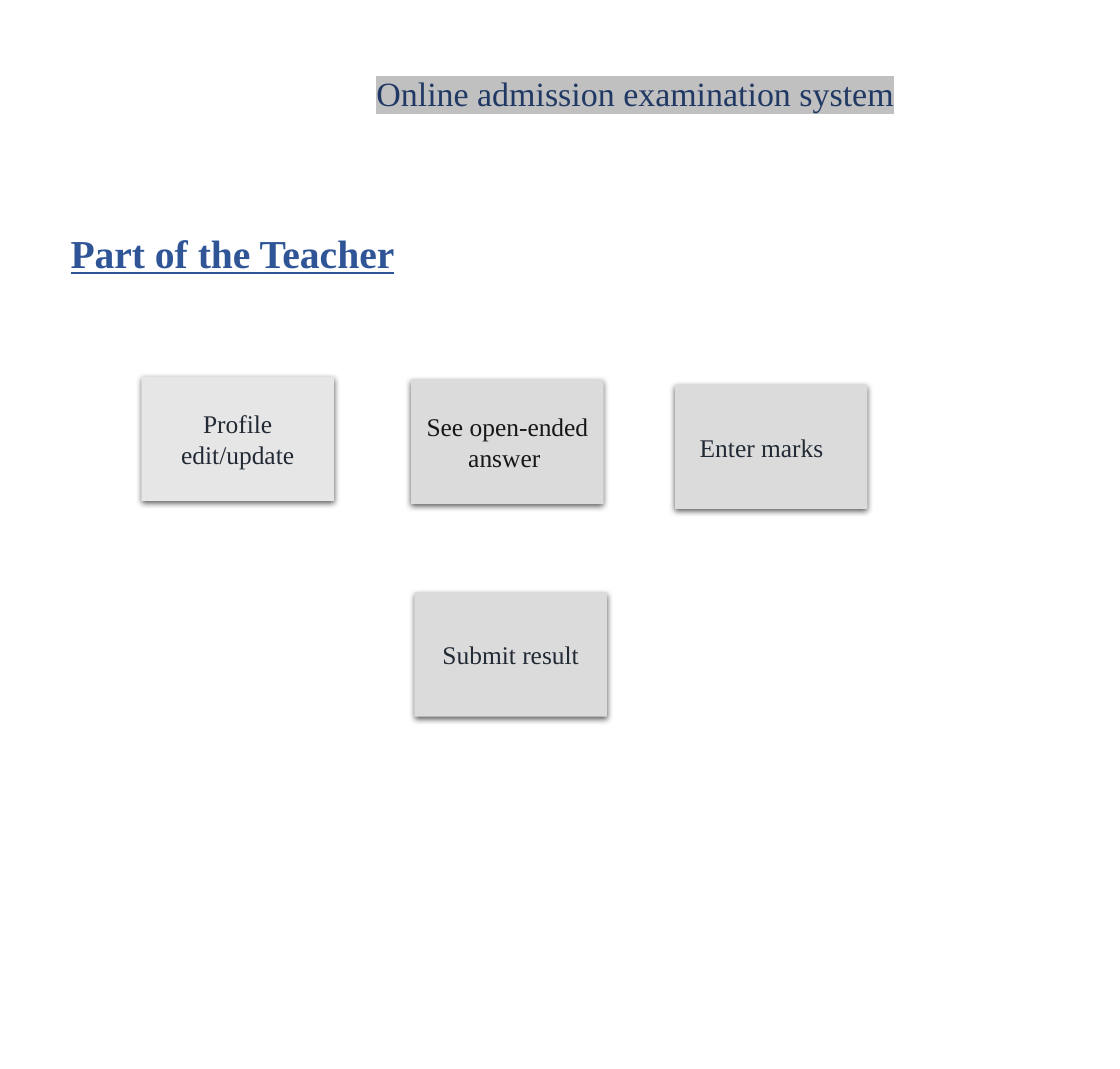
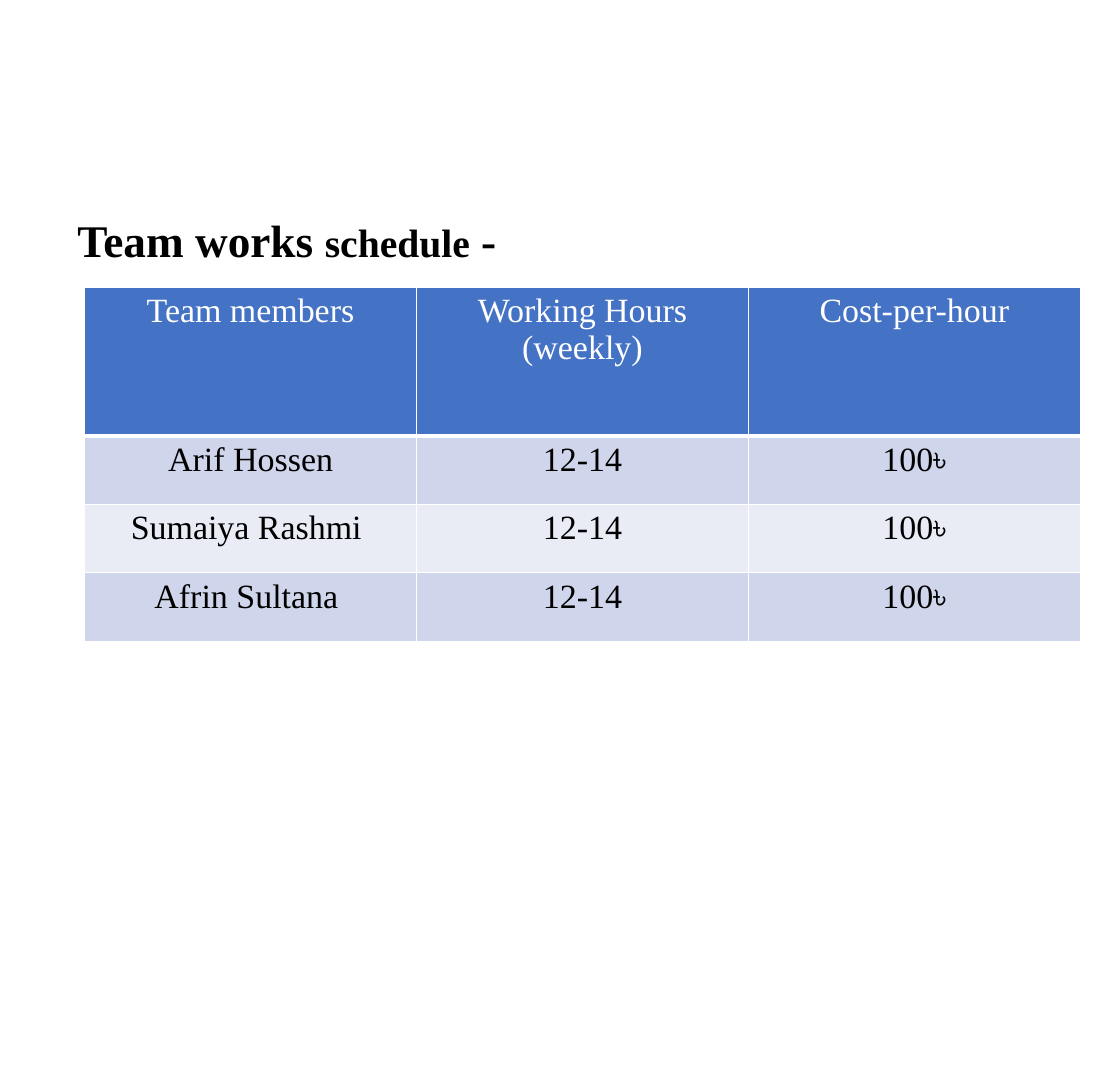
from lxml.etree import SubElement
from pptx import Presentation
from pptx.dml.color import RGBColor
from pptx.enum.shapes import MSO_SHAPE
from pptx.enum.text import MSO_ANCHOR, PP_ALIGN
from pptx.oxml import parse_xml
from pptx.oxml.ns import nsdecls, qn
from pptx.util import Cm, Pt

COLORS = {
    "heading": "2F5597",
    "system": "203864",
    "highlight": "C0C0C0",
    "task": "222A35",
    "answer": "181717",
    "light_box": "E7E6E6",
    "box": "DBDBDB",
    "header": "4472C4",
    "odd_row": "CFD5EA",
    "even_row": "E9EBF5",
    "white": "FFFFFF",
    "black": "000000",
}
FONT = "Times New Roman"


def write(paragraph, text, size=24, color="black", bold=False, underline=False,
          align=None, highlight=None):
    paragraph.alignment = align
    run = paragraph.add_run()
    run.text = text
    font = run.font
    font.size = Pt(size)
    font.bold = bold
    font.underline = underline
    font.color.rgb = RGBColor.from_string(COLORS[color])
    font.name = FONT
    if highlight:
        run._r.rPr.find(qn("a:solidFill")).addnext(parse_xml(
            f'<a:highlight {nsdecls("a")}><a:srgbClr val="{COLORS[highlight]}"/></a:highlight>'))


def add_text_line(slide, left, top, width, height):
    frame = slide.shapes.add_textbox(Cm(left), Cm(top), Cm(width), Cm(height)).text_frame
    frame.word_wrap = True
    return frame.paragraphs[0]


deck = Presentation()
deck.slide_width, deck.slide_height = Cm(27.94), Cm(26.67)
blank = deck.slide_layouts[6]

teacher = deck.slides.add_slide(blank)
write(add_text_line(teacher, -2.24, 5.59, 16.08, 3), "Part of the Teacher",
      size=28, color="heading", bold=True, underline=True, align=PP_ALIGN.CENTER)
write(add_text_line(teacher, 9.14, 1.68, 15.14, 1.27), "Online admission examination system",
      color="system", highlight="highlight")

tasks = [
    ("Submit result", 10.34, 14.78, "box", "task", 0.25),
    ("Profile edit/update", 3.53, 9.4, "light_box", "task", 0.25),
    ("See open-ended answer ", 10.26, 9.47, "box", "answer", 0.25),
    ("Enter marks", 16.84, 9.6, "box", "task", 0.73),
]
for label, left, top, fill, color, right_inset in tasks:
    task = teacher.shapes.add_shape(MSO_SHAPE.RECTANGLE, Cm(left), Cm(top), Cm(4.8), Cm(3.1))
    task.fill.solid()
    task.fill.fore_color.rgb = RGBColor.from_string(COLORS[fill])
    task.line.fill.background()
    task.shadow.inherit = False
    task._element.spPr.find(qn("a:effectLst")).append(parse_xml(
        f'<a:outerShdw {nsdecls("a")} blurRad="{Pt(4.5)}" dist="{Pt(1.5)}" dir="5400000" '
        f'algn="ctr" rotWithShape="0"><a:srgbClr val="{COLORS["black"]}">'
        '<a:alpha val="63000"/></a:srgbClr></a:outerShdw>'))
    frame = task.text_frame
    frame.word_wrap = True
    frame.vertical_anchor = MSO_ANCHOR.MIDDLE
    frame.margin_right = Cm(right_inset)
    write(frame.paragraphs[0], label, size=18, color=color, align=PP_ALIGN.CENTER)

team = deck.slides.add_slide(blank)
team_heading = add_text_line(team, 1.68, 5.18, 13.54, 1.63)
for text, size in [("Team works ", 32), ("schedule", 28), (" -", 32)]:
    write(team_heading, text, size=size, bold=True)

schedule_rows = [("Team members", "Working Hours\n(weekly)", "Cost-per-hour")]
schedule_rows += [(member, "12-14", "100৳")
                  for member in ("Arif Hossen", "Sumaiya Rashmi ", "Afrin Sultana ")]
row_heights = [3.71, 1.71, 1.71, 1.71]
schedule = team.shapes.add_table(4, 3, Cm(2.11), Cm(7.16), Cm(24.84), Cm(sum(row_heights))).table
for column in schedule.columns:
    column.width = Cm(8.28)

for r, values in enumerate(schedule_rows):
    schedule.rows[r].height = Cm(row_heights[r])
    fill = "header" if r == 0 else "odd_row" if r % 2 else "even_row"
    for c, value in enumerate(values):
        cell = schedule.cell(r, c)
        properties = cell._tc.get_or_add_tcPr()
        for side in ("lnL", "lnR", "lnT", "lnB"):
            thick = (r, side) in [(0, "lnB"), (1, "lnT")]
            border = SubElement(properties, qn(f"a:{side}"), w=str(Pt(3 if thick else 1)))
            SubElement(SubElement(border, qn("a:solidFill")), qn("a:srgbClr"), val=COLORS["white"])
        cell.fill.solid()
        cell.fill.fore_color.rgb = RGBColor.from_string(COLORS[fill])
        for i, line in enumerate(value.split("\n")):
            paragraph = cell.text_frame.add_paragraph() if i else cell.text_frame.paragraphs[0]
            write(paragraph, line, color="black" if r else "white", align=PP_ALIGN.CENTER)

deck.save("out.pptx")
